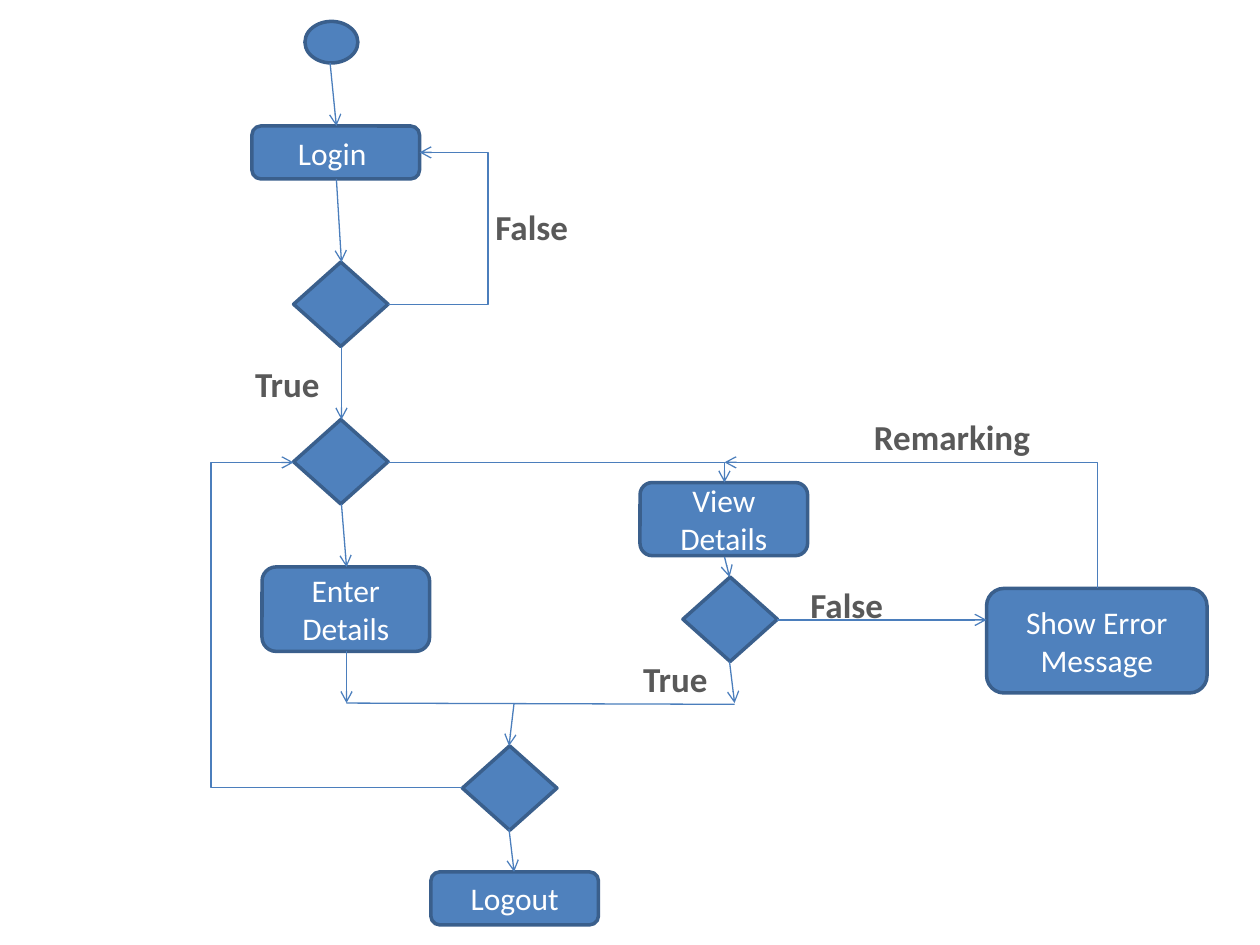
import pptx
import pptx.dml.color
import pptx.enum.shapes
import pptx.enum.text
import pptx.oxml.ns
import pptx.util
from lxml import etree

Inches = pptx.util.Inches
Pt = pptx.util.Pt
SHAPE = pptx.enum.shapes.MSO_SHAPE
LINK = pptx.enum.shapes.MSO_CONNECTOR
CENTER = pptx.enum.text.PP_ALIGN.CENTER
qn = pptx.oxml.ns.qn

START = (2.42, 0.17, 0.42, 0.33)
DECISION_SIZE = (0.75, 0.67)
DECISIONS = [(2.33, 2.08), (5.42, 4.58), (3.67, 5.92), (2.33, 3.33)]
STEPS = [
    (2, 1, 1.33, 0.42, ["Login "]),
    (7.83, 4.67, 1.75, 0.83, ["Show Error", "Message"]),
    (2.08, 4.5, 1.33, 0.67, ["Enter", "Details"]),
    (5.08, 3.83, 1.33, 0.58, ["View Details"]),
    (3.42, 6.92, 1.33, 0.42, ["Logout"]),
]
ARROWS = [
    (2.62, 0.5, 2.67, 1),
    (2.67, 1.42, 2.71, 2.08),
    (2.71, 4, 2.75, 4.5),
    (4.08, 5.58, 4.04, 5.92),
    (2.75, 5.17, 2.75, 5.58),
    (4.04, 6.58, 4.08, 6.92),
    (2.71, 2.75, 2.71, 3.33),
    (5.79, 5.25, 5.83, 5.58),
    (5.75, 4.42, 5.79, 4.58),
    (6.17, 4.92, 7.83, 4.92),
]
MERGE = (2.75, 5.58, 5.83, 5.59)
TO_VIEW = (3.08, 3.67, 5.75, 3.83)
REMARK_LOOP = (6.73, 5.65, 7.73, 2.69)
LOGIN_LOOP = (3.08, 2.42, 3.33, 1.21)
MENU_LOOP = (2.33, 3.67, 3.67, 6.25)
LABELS = [
    (1.92, 2.83, 0.72, "True"),
    (3.83, 1.58, 0.78, "False"),
    (5, 5.17, 0.72, "True"),
    (6.33, 4.58, 0.78, "False"),
    (6.83, 3.25, 1.45, "Remarking"),
]


def color(value):
    return pptx.dml.color.RGBColor.from_string(value)


def write(paragraph, words, size, ink, bold=False):
    paragraph.alignment = CENTER
    run = paragraph.add_run()
    run.text = words
    run.font.name = "Calibri"
    run.font.size = Pt(size)
    run.font.bold = bold
    run.font.color.rgb = color(ink)


def add_node(slide, kind, left, top, width, height, lines=()):
    node = slide.shapes.add_shape(
        kind, Inches(left), Inches(top), Inches(width), Inches(height))
    node.shadow.inherit = False
    node.fill.solid()
    node.fill.fore_color.rgb = color("4F81BD")
    node.line.color.rgb = color("3A5F8C")
    node.line.width = Pt(2)
    frame = node.text_frame
    frame.vertical_anchor = pptx.enum.text.MSO_ANCHOR.MIDDLE
    for index, words in enumerate(lines):
        paragraph = frame.add_paragraph() if index else frame.paragraphs[0]
        write(paragraph, words, 18, "FFFFFF")


def add_flow(slide, ends, kind=LINK.STRAIGHT, arrow=True):
    flow = slide.shapes.add_connector(kind, *map(Inches, ends))
    flow.line.color.rgb = color("4B7EBC")
    flow.line.width = Pt(0.75)
    if arrow:
        etree.SubElement(flow.line._get_or_add_ln(), qn("a:tailEnd"), type="arrow")
    etree.SubElement(flow._element.spPr, qn("a:effectLst"))
    return flow


def add_bent_flow(slide, ends, turn=0, bend=None):
    properties = add_flow(slide, ends, LINK.ELBOW)._element.spPr
    if turn:
        properties.find(qn("a:xfrm")).set("rot", str(turn * 60000))
    geometry = properties.find(qn("a:prstGeom"))
    if bend is None:
        geometry.set("prst", "bentConnector2")
        return
    guides = geometry.find(qn("a:avLst"))
    if guides is None:
        guides = etree.SubElement(geometry, qn("a:avLst"))
    etree.SubElement(guides, qn("a:gd"), name="adj1",
                     fmla=f"val {round(bend * 100000)}")


def add_label(slide, left, top, width, words):
    label = slide.shapes.add_textbox(
        Inches(left), Inches(top), Inches(width), Inches(0.44))
    frame = label.text_frame
    frame.word_wrap = False
    frame.auto_size = pptx.enum.text.MSO_AUTO_SIZE.SHAPE_TO_FIT_TEXT
    write(frame.paragraphs[0], words, 20, "595959", bold=True)


def main():
    deck = pptx.Presentation()
    deck.slide_width = Inches(10)
    deck.slide_height = Inches(7.5)
    slide = deck.slides.add_slide(deck.slide_layouts[6])

    add_node(slide, SHAPE.FLOWCHART_CONNECTOR, *START)
    for step in STEPS:
        add_node(slide, SHAPE.ROUNDED_RECTANGLE, *step)
    for corner in DECISIONS:
        add_node(slide, SHAPE.FLOWCHART_DECISION, *corner, *DECISION_SIZE)

    for ends in ARROWS:
        add_flow(slide, ends)
    add_flow(slide, MERGE, arrow=False)
    add_bent_flow(slide, TO_VIEW)
    add_bent_flow(slide, REMARK_LOOP, turn=270)
    add_bent_flow(slide, LOGIN_LOOP, bend=3.17)
    add_bent_flow(slide, MENU_LOOP, turn=180, bend=1.49)

    for label in LABELS:
        add_label(slide, *label)
    deck.save("out.pptx")


main()
